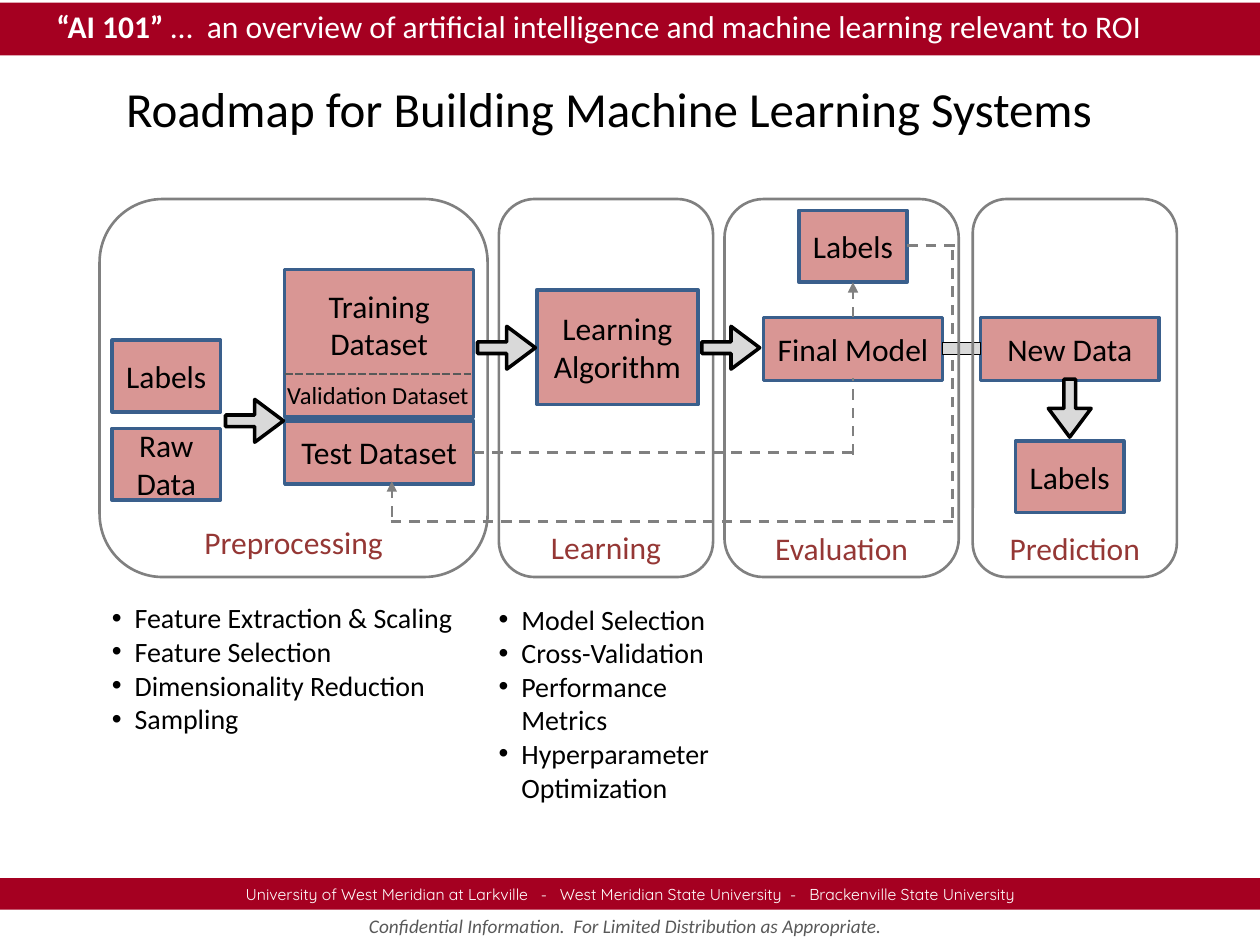
"""Build the machine learning roadmap slide."""
from pptx import Presentation
from pptx.dml.color import RGBColor
from pptx.enum.dml import MSO_LINE
from pptx.enum.shapes import MSO_CONNECTOR, MSO_SHAPE
from pptx.enum.text import MSO_ANCHOR, PP_ALIGN
from pptx.oxml.ns import qn
from pptx.util import Inches, Pt
from lxml import etree

RECT, ROUND, ARROW = MSO_SHAPE.RECTANGLE, MSO_SHAPE.ROUNDED_RECTANGLE, MSO_SHAPE.RIGHT_ARROW
STRAIGHT = MSO_CONNECTOR.STRAIGHT
DASH, FINE = MSO_LINE.DASH, MSO_LINE.SQUARE_DOT
LEFT, CENTER = PP_ALIGN.LEFT, PP_ALIGN.CENTER
TOP, MIDDLE = MSO_ANCHOR.TOP, MSO_ANCHOR.MIDDLE

BLACK, WHITE = RGBColor(0, 0, 0), RGBColor(255, 255, 255)
PINK, BLUE = RGBColor(0xD9, 0x96, 0x94), RGBColor(0x3A, 0x5F, 0x8C)
BRICK, RED = RGBColor(0x95, 0x37, 0x35), RGBColor(0xA5, 0x00, 0x21)
SILVER, GRAY = RGBColor(0xD9, 0xD9, 0xD9), RGBColor(0x80, 0x80, 0x80)
DARK = RGBColor(0x59, 0x59, 0x59)

TITLE = "Roadmap for Building Machine Learning Systems"
LEAD = "“AI 101” "
TOPIC = "…  an overview of artificial intelligence and machine learning relevant to ROI"
SCHOOLS = ("University of West Meridian at Larkville   -   West Meridian State University"
           "  -   Brackenville State University")
NOTICE = "Confidential Information.  For Limited Distribution as Appropriate.  "

SMALL = (0.86, 0.57)
WIDE = (1.42, 0.5)
BOXES = [
    ("Training Dataset", 2.26, 2.14, 1.5, 1.17),
    ("Test Dataset", 2.26, 3.34, 1.5, 0.5),
    ("Labels", 0.89, 2.7, *SMALL),
    ("Raw Data", 0.89, 3.4, *SMALL),
    ("Learning Algorithm", 4.26, 2.3, 1.28, 0.91),
    ("Final Model", 6.06, 2.52, *WIDE),
    ("New Data", 7.78, 2.52, *WIDE),
    ("Labels", 8.06, 3.5, *SMALL),
    ("Labels", 6.34, 1.67, *SMALL),
]
STAGES = [
    ("Preprocessing", 0.79, 3.08, 4.1),
    ("Learning", 3.96, 1.7, 4.14),
    ("Evaluation", 5.75, 1.86, 4.15),
    ("Prediction", 7.72, 1.62, 4.15),
]
ARROWS = [(1.79, 3.17, 0), (3.79, 2.59, 0), (5.57, 2.59, 0), (8.26, 3.07, 90)]
LINKS = [
    (3.76, 3.59, 6.76, 3.59, False),
    (6.77, 3.61, 6.77, 3, False),
    (6.77, 2.52, 6.77, 2.24, True),
    (3.11, 4.1, 3.11, 3.82, True),
    (3.1, 4.14, 7.59, 4.14, False),
    (7.56, 4.11, 7.56, 1.96, False),
    (7.2, 1.95, 7.6, 1.95, False),
]
LISTS = [
    ((0.79, 4.72, 3.08, 1.18), ["Feature Extraction & Scaling", "Feature Selection",
                                "Dimensionality Reduction", "Sampling"]),
    ((3.86, 4.73, 1.89, 1.72), ["Model Selection", "Cross-Validation",
                                "Performance Metrics", "Hyperparameter Optimization"]),
]

deck = Presentation()
deck.slide_width, deck.slide_height = Inches(10), Inches(7.5)
slide = deck.slides.add_slide(deck.slide_layouts[5])
shapes = slide.shapes


def style(obj, values):
    for name, value in values.items():
        setattr(obj, name, value)


def write(shape, paras, size=18, color=BLACK, align=LEFT, anchor=TOP, face="Calibri", **fmt):
    frame = shape.text_frame
    style(frame, {"word_wrap": True, "vertical_anchor": anchor})
    for i, text in enumerate(paras):
        para = frame.add_paragraph() if i else frame.paragraphs[0]
        para.alignment = align
        run = para.add_run()
        run.text = text
        style(run.font, {"size": Pt(size), "name": face, **fmt})
        run.font.color.rgb = color
    return frame


def label(box, paras, **fmt):
    return write(shapes.add_textbox(*map(Inches, box)), paras, **fmt)


def draw(kind, box, fill=None, line=None, width=2):
    shape = shapes.add_shape(kind, *map(Inches, box))
    shape.shadow.inherit = False
    for part, color in ((shape.fill, fill), (shape.line.fill, line)):
        if color is None:
            part.background()
        else:
            part.solid()
            part.fore_color.rgb = color
    if line is not None:
        shape.line.width = Pt(width)
    return shape


def link(ends, color=GRAY, dash=DASH, head=False):
    wire = shapes.add_connector(STRAIGHT, *map(Inches, ends))
    wire.line.color.rgb = color
    style(wire.line, {"width": Pt(1.5), "dash_style": dash})
    if head:
        etree.SubElement(wire.line._get_or_add_ln(), qn("a:tailEnd"), type="triangle")
    etree.SubElement(wire._element.spPr, qn("a:effectLst"))


def bullet(para):
    props = para._p.get_or_add_pPr()
    props.set("marL", str(Inches(0.18)))
    props.set("indent", str(-Inches(0.18)))
    etree.SubElement(props, qn("a:buFont"), typeface="Arial")
    etree.SubElement(props, qn("a:buChar"), char="•")


title = shapes.title
style(title, dict(zip(("left", "top", "width", "height"), map(Inches, (0.9, 0.57, 8.03, 0.57)))))
write(title, [TITLE], size=28)

for text, *box in BOXES:
    frame = write(draw(RECT, box, PINK, BLUE), [text], align=CENTER, anchor=MIDDLE)
    if text == "Training Dataset":
        frame.margin_bottom = Inches(0.35)

for *ends, head in LINKS:
    link(ends, head=head)
draw(RECT, (7.48, 2.72, 0.3, 0.09), SILVER, BLACK, 0.5)

for text, left, width, top in STAGES:
    draw(ROUND, (left, 1.58, width, 3), line=GRAY, width=1.5)
    label((left, top, width, 0.4), [text], color=BRICK, align=CENTER)

for left, top, turn in ARROWS:
    arrow = draw(ARROW, (left, top, 0.46, 0.34), SILVER, BLACK)
    arrow.rotation = turn
    arrow.adjustments[0], arrow.adjustments[1] = 0.27, 0.67

for box, items in LISTS:
    for para in label(box, items, size=16).paragraphs:
        bullet(para)

link((2.26, 2.97, 3.76, 2.97), DARK, FINE)
frame = label((2.28, 2.97, 1.5, 0.34), ["Validation Dataset"], size=14)
style(frame, {"margin_left": 0, "margin_right": 0})

draw(RECT, (0, 0.02, 10, 0.42), RED)
frame = label((0.35, 0.01, 9.06, 0.4), [LEAD], color=WHITE, bold=True)
run = frame.paragraphs[0].add_run()
run.text = TOPIC
style(run.font, {"size": Pt(18), "name": "Calibri", "bold": False})
run.font.color.rgb = WHITE

write(draw(RECT, (0, 6.97, 10, 0.25), RED), [SCHOOLS], size=9, color=WHITE,
      align=CENTER, anchor=MIDDLE, face="Quicksand")
label((1.45, 7.21, 7.1, 0.29), [NOTICE], size=11, color=DARK, align=CENTER, italic=True)

deck.save("out.pptx")
